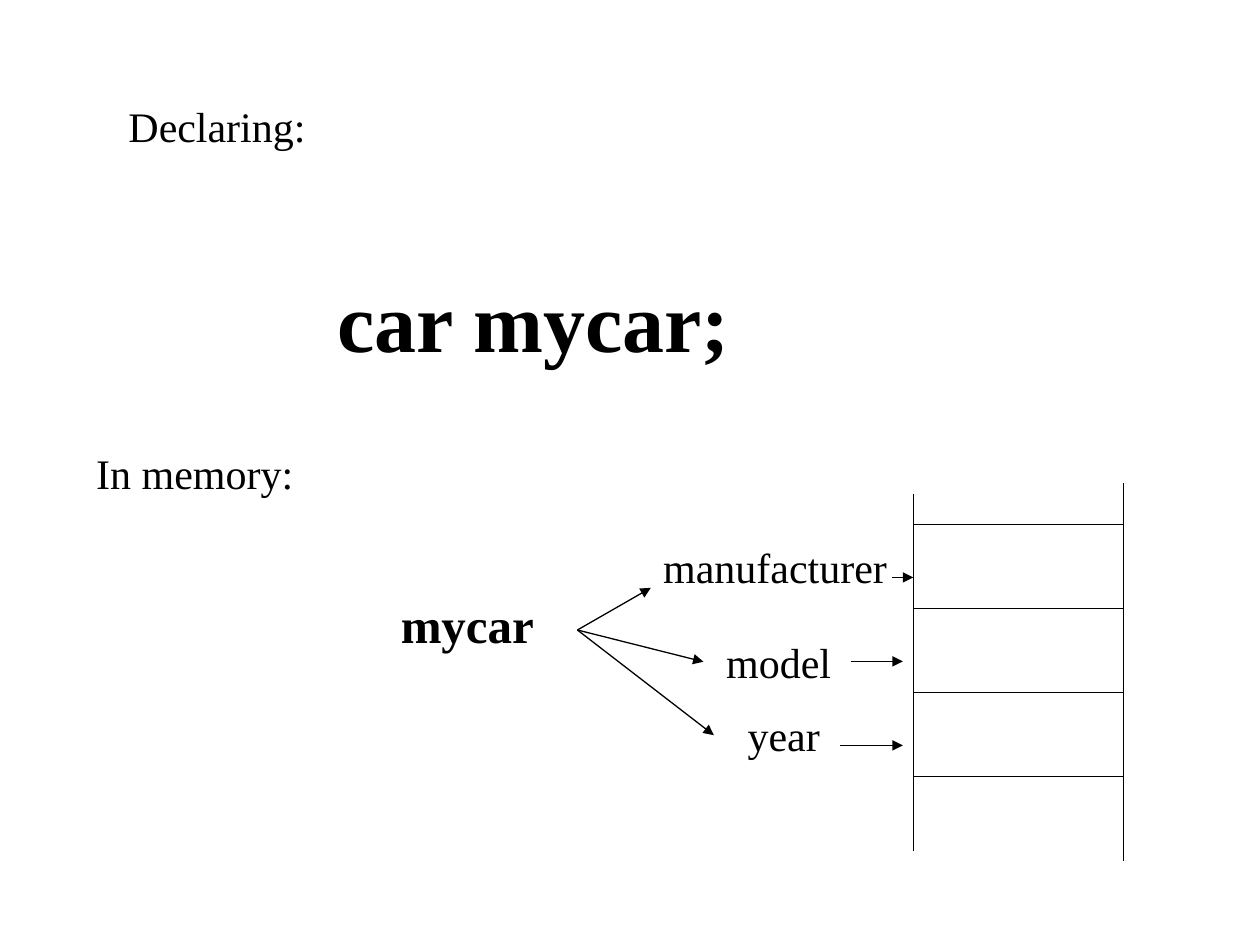
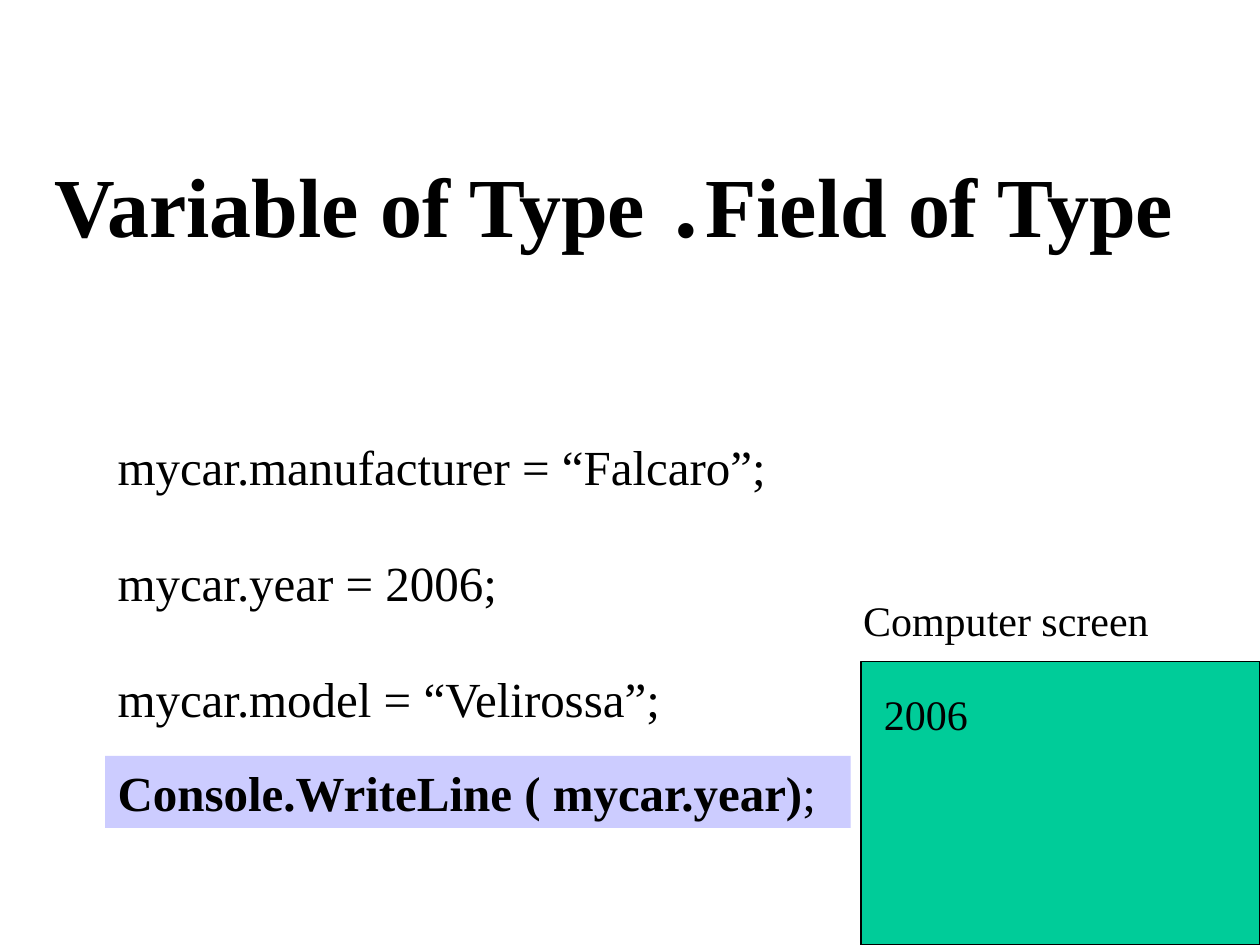
from dataclasses import dataclass

from lxml import etree
from pptx import Presentation
from pptx.dml.color import RGBColor
from pptx.enum.shapes import MSO_CONNECTOR, MSO_SHAPE
from pptx.enum.text import MSO_ANCHOR, MSO_AUTO_SIZE, PP_ALIGN
from pptx.oxml.ns import qn
from pptx.slide import Slide
from pptx.util import Cm, Pt

STRAIGHT = MSO_CONNECTOR.STRAIGHT
RECTANGLE = MSO_SHAPE.RECTANGLE
TOP = MSO_ANCHOR.TOP
GROW = MSO_AUTO_SIZE.SHAPE_TO_FIT_TEXT
LEFT = PP_ALIGN.LEFT
TITLE_ONLY = 5

# Shared look
FONT = "Times New Roman"
BLACK, HIGHLIGHT, SCREEN_GREEN = "000000", "CCCCFF", "00CC99"
LINE_WIDTH = Pt(0.75)
HEADLINE, DOT, CODE, LABEL = 48, 54, 28, 24
BOX_HEIGHT = {HEADLINE: 2.29, DOT: 2.54, CODE: 1.45, LABEL: 1.27}
SPACE_PER_POINT = 0.625
FRAME_FORMAT = {
    "word_wrap": True,
    "auto_size": GROW,
    "vertical_anchor": TOP,
    "margin_left": Cm(0.25),
    "margin_right": Cm(0.25),
    "margin_top": Cm(0.13),
    "margin_bottom": Cm(0.13),
}


@dataclass(frozen=True)
class Caption:
    """Text at a place in centimetres; bold_text comes before text."""
    left: float
    top: float
    width: float
    size: int
    text: str = ""
    bold_text: str = ""

    def bounds(self) -> dict:
        return {"left": Cm(self.left), "top": Cm(self.top),
                "width": Cm(self.width), "height": Cm(BOX_HEIGHT[self.size])}


@dataclass(frozen=True)
class Stroke:
    """A straight line in centimetres."""
    x1: float
    y1: float
    x2: float
    y2: float
    arrow: bool = False


def color(hex_value: str) -> RGBColor:
    return RGBColor.from_string(hex_value)


def apply(target, values: dict) -> None:
    for name, value in values.items():
        setattr(target, name, value)


def write(shape, caption: Caption) -> None:
    apply(shape.text_frame, FRAME_FORMAT)
    paragraph = shape.text_frame.paragraphs[0]
    apply(paragraph, {"alignment": LEFT,
                      "space_before": Pt(caption.size * SPACE_PER_POINT)})
    for words, bold in ((caption.bold_text, True), (caption.text, False)):
        if words:
            run = paragraph.add_run()
            run.text = words
            apply(run.font, {"name": FONT, "size": Pt(caption.size), "bold": bold})
            run.font.color.rgb = color(BLACK)


def draw_title(slide: Slide, caption: Caption) -> None:
    title = slide.shapes.title
    apply(title, caption.bounds())
    write(title, caption)


def draw_captions(slide: Slide, captions: list[Caption]) -> None:
    for caption in captions:
        write(slide.shapes.add_textbox(**caption.bounds()), caption)


def draw_rectangle(slide: Slide, bounds: dict, fill: str, outlined: bool):
    rectangle = slide.shapes.add_shape(RECTANGLE, **bounds)
    rectangle.shadow.inherit = False
    rectangle.fill.solid()
    rectangle.fill.fore_color.rgb = color(fill)
    if outlined:
        rectangle.line.color.rgb = color(BLACK)
        rectangle.line.width = LINE_WIDTH
    else:
        rectangle.line.fill.background()
    return rectangle


def draw_strokes(slide: Slide, strokes: list[Stroke]) -> None:
    for stroke in strokes:
        connector = slide.shapes.add_connector(
            STRAIGHT, Cm(stroke.x1), Cm(stroke.y1), Cm(stroke.x2), Cm(stroke.y2))
        connector.line.color.rgb = color(BLACK)
        connector.line.width = LINE_WIDTH
        properties = connector._element.spPr
        if stroke.arrow:
            etree.SubElement(properties.get_or_add_ln(), qn("a:tailEnd"),
                             type="triangle")
        etree.SubElement(properties, qn("a:effectLst"))


def build_declaring(slide: Slide) -> None:
    draw_title(slide, Caption(6.55, 5.28, 9.09, HEADLINE, bold_text="car mycar;"))
    draw_captions(slide, [
        Caption(2.34, 1.9, 10.36, LABEL, "Declaring:"),
        Caption(7.83, 11.86, 6.78, CODE, bold_text="mycar"),
        Caption(13.12, 10.79, 5.08, LABEL, "manufacturer"),
        Caption(14.39, 12.7, 3.39, LABEL, "model"),
        Caption(14.82, 14.18, 2.54, LABEL, "year"),
        Caption(1.69, 8.89, 5.5, LABEL, "In memory:"),
    ])

    # Memory cells
    memory_left, memory_right = 18.41, 22.65
    cells_top, cells_bottom, cell_count = 10.58, 15.66, 3
    cell_height = (cells_bottom - cells_top) / cell_count
    memory = [Stroke(memory_left, 9.95, memory_left, 17.15),
              Stroke(memory_right, 9.74, memory_right, 17.36)]
    for row in range(cell_count + 1):
        y = cells_top + row * cell_height
        memory.append(Stroke(memory_left, y, memory_right, y))
    draw_strokes(slide, memory)

    # Arrows from the variable to its fields
    field_ends = [(13.12, 11.85), (14.18, 13.34), (14.39, 14.82)]
    draw_strokes(slide, [Stroke(11.64, 12.7, x, y, True) for x, y in field_ends])

    # Arrows from the fields to memory
    cell_arrows = [(17.99, memory_left), (17.15, 18.2), (16.93, 18.2)]
    for row, (start, end) in enumerate(cell_arrows):
        y = 11.64 + row * cell_height
        draw_strokes(slide, [Stroke(start, y, end, y, True)])


def build_field_access(slide: Slide) -> None:
    # Headline in three parts
    draw_title(slide, Caption(0.85, 2.96, 15.03, HEADLINE,
                              bold_text="Variable of Type"))
    draw_captions(slide, [
        Caption(13.97, 2.96, 11.43, HEADLINE, bold_text="Field of Type"),
        Caption(13.34, 2.75, 1.06, DOT, bold_text="."),
    ])

    # Assignments
    code_left = 2.12
    assignments = [("mycar.manufacturer = “Falcaro”;", 16.72),
                   ("mycar.year = 2006;", 9.74),
                   ("mycar.model = “Velirossa”;", 12.28)]
    draw_captions(slide, [Caption(code_left, 8.68 + row * 2.33, width, CODE, code)
                          for row, (code, width) in enumerate(assignments)])

    # Output statement
    output = Caption(code_left, 15.24, 15.03, CODE, ";",
                     "Console.WriteLine ( mycar.year)")
    write(draw_rectangle(slide, output.bounds(), HIGHLIGHT, False), output)

    # Computer screen
    screen = {"left": Cm(17.36), "top": Cm(13.34),
              "width": Cm(8.04), "height": Cm(5.71)}
    draw_rectangle(slide, screen, SCREEN_GREEN, True)
    draw_captions(slide, [
        Caption(17.57, 13.76, 3.81, LABEL, "2006"),
        Caption(17.15, 11.85, 7.41, LABEL, "Computer screen"),
    ])


def main() -> None:
    deck = Presentation()
    deck.slide_width, deck.slide_height = Cm(25.4), Cm(19.05)
    for build in (build_declaring, build_field_access):
        build(deck.slides.add_slide(deck.slide_layouts[TITLE_ONLY]))
    deck.save("out.pptx")


if __name__ == "__main__":
    main()
